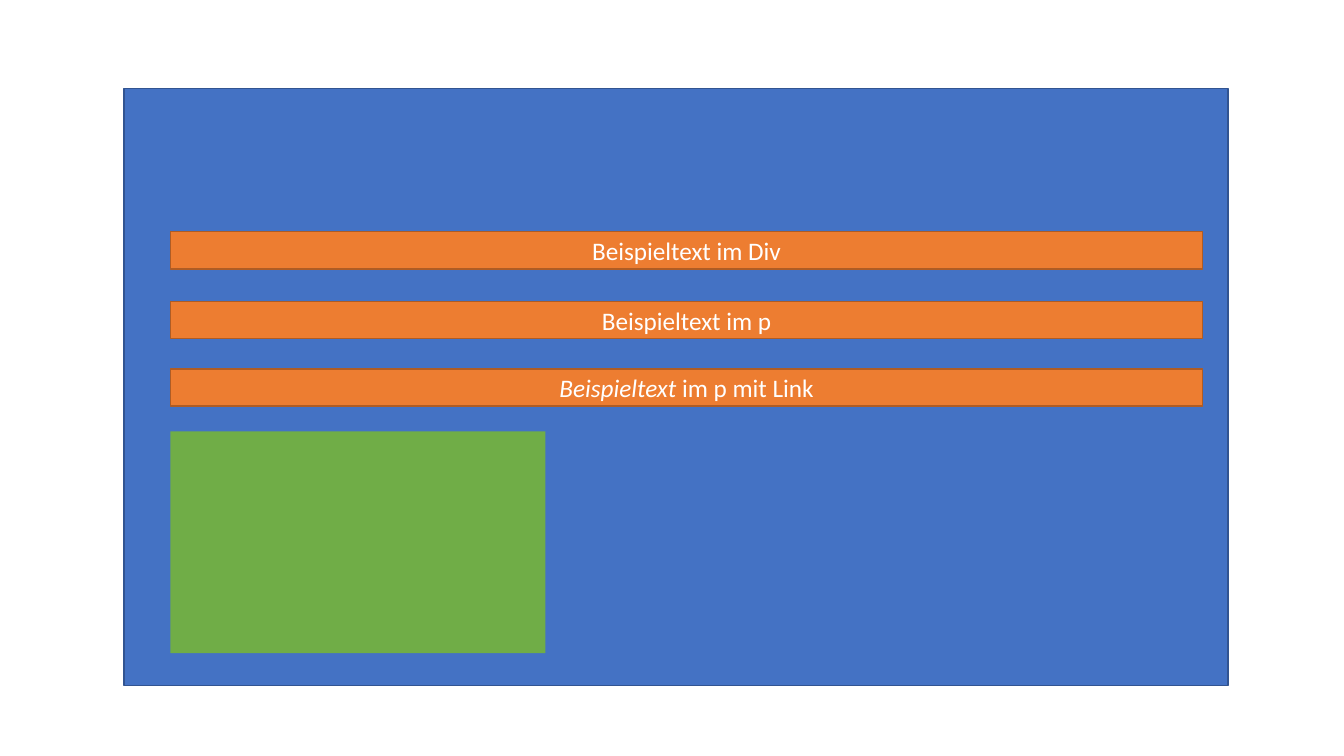
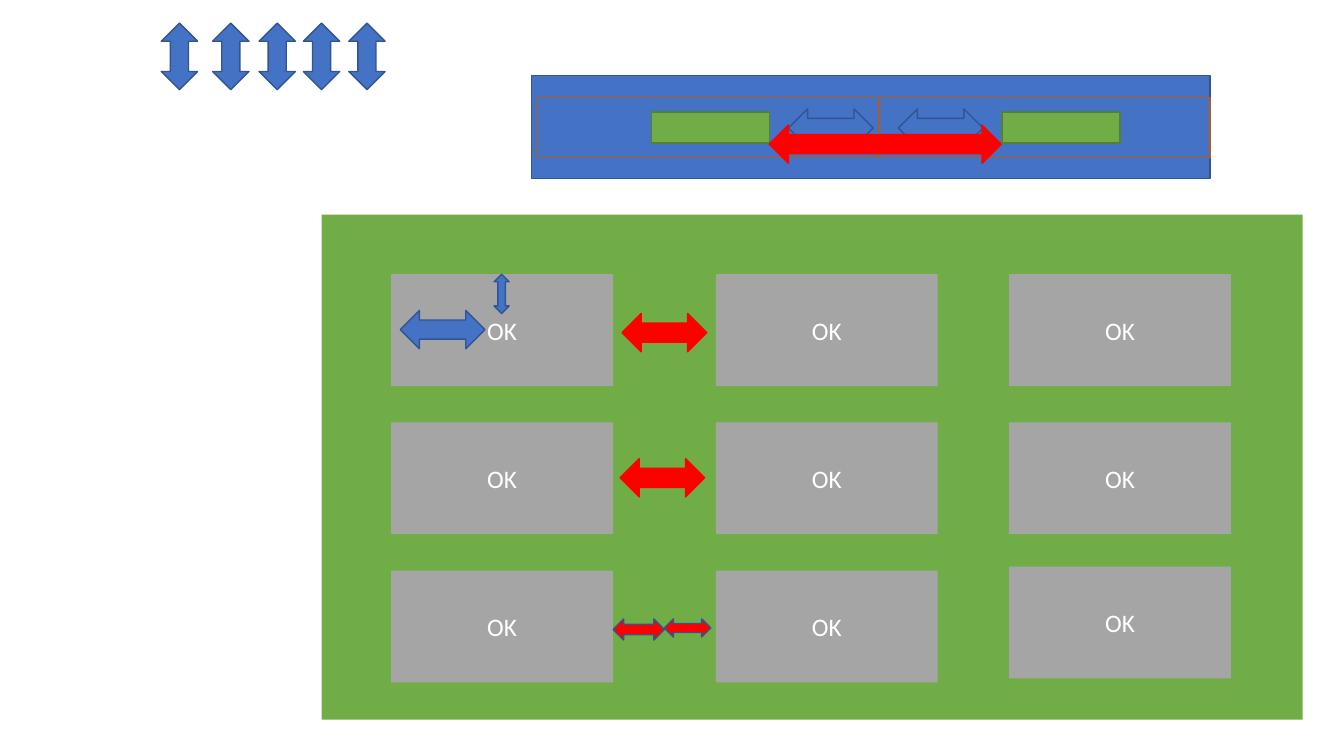
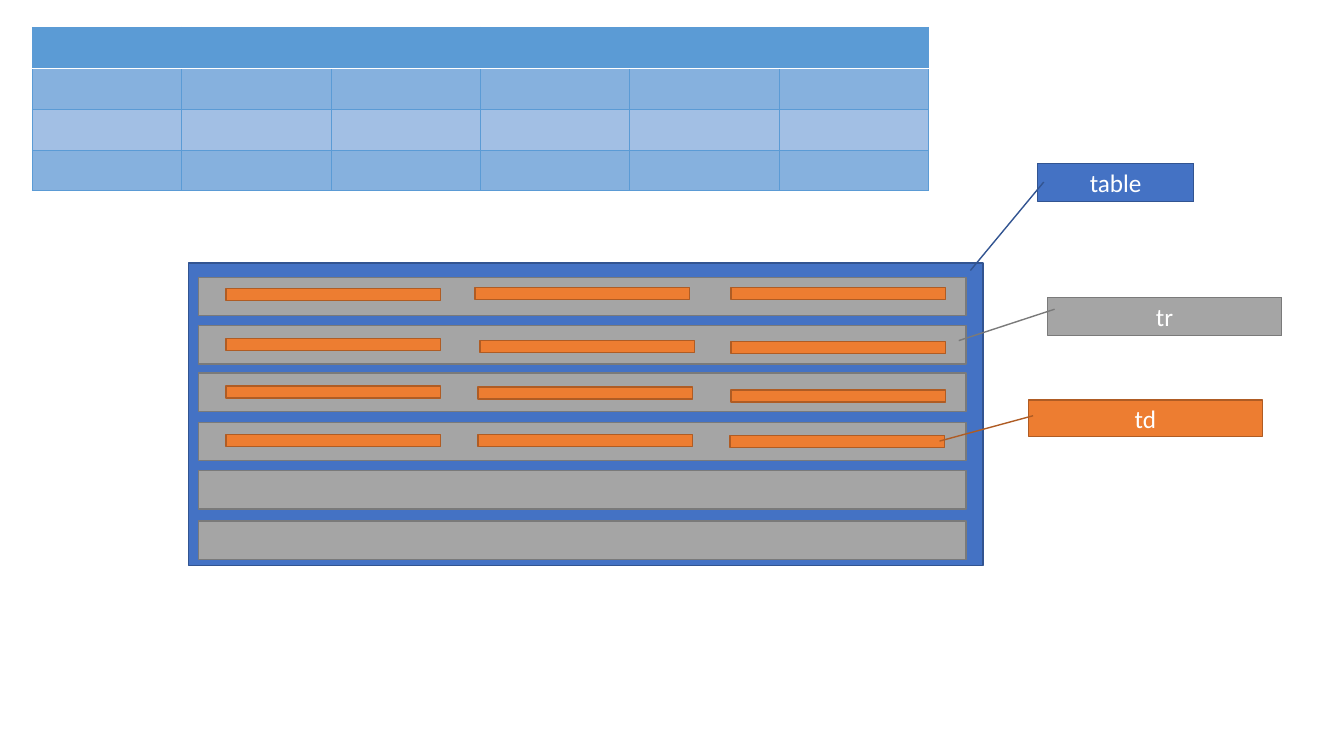
"""Build three slides that sketch page boxes, a button grid and a table layout."""
import lxml.etree
import pptx
import pptx.dml.color
import pptx.enum.shapes
import pptx.enum.text
import pptx.oxml.ns
import pptx.util

Inches = pptx.util.Inches
Pt = pptx.util.Pt
SHAPES = pptx.enum.shapes.MSO_SHAPE
HORIZONTAL, VERTICAL = SHAPES.LEFT_RIGHT_ARROW, SHAPES.UP_DOWN_ARROW
BLUE = ("4472C4", "325491")
ORANGE = ("ED7D31", "AF5C24")
GRAY = ("A5A5A5", "7A7A7A")
GREEN = ("70AD47", "538035")
RED = ("FF0000", "FF0000")
RED_BLUE = ("FF0000", "325491")
OUTLINE = (None, "AF5C24")
PLAIN_GREEN = ("70AD47", None)
PLAIN_GRAY = ("A5A5A5", None)
WHITE, TABLE_BLUE = "FFFFFF", "5B9BD5"
ROW_FILLS = (TABLE_BLUE, "86B1DE", "A2BFE4", "86B1DE")


def color(value):
    """Turn a hex string into a colour."""
    return pptx.dml.color.RGBColor.from_string(value)


def paint(fill, value):
    """Apply a solid fill, or no fill when the value is None."""
    if value is None:
        fill.background()
    else:
        fill.solid()
        fill.fore_color.rgb = color(value)


def write(shape, runs):
    """Put centred white runs, given as (text, italic), in a shape."""
    frame = shape.text_frame
    frame.word_wrap = True
    frame.vertical_anchor = pptx.enum.text.MSO_ANCHOR.MIDDLE
    paragraph = frame.paragraphs[0]
    paragraph.alignment = pptx.enum.text.PP_ALIGN.CENTER
    for text, italic in runs:
        run = paragraph.add_run()
        run.text = text
        run.font.color.rgb = color(WHITE)
        for name, value in {"name": "Calibri", "size": Pt(18), "italic": italic}.items():
            setattr(run.font, name, value)


def add_box(slide, place, colors, runs=(), kind=SHAPES.RECTANGLE):
    """Add a preset shape with a fill, a line and optional text."""
    shape = slide.shapes.add_shape(kind, *map(Inches, place))
    shape.shadow.inherit = False
    fill, line = colors
    paint(shape.fill, fill)
    paint(shape.line.fill, line)
    if line:
        shape.line.width = Pt(1)
    if runs:
        write(shape, runs)
    return shape


def add_callout(slide, place, colors, text, adjustments):
    """Add a labelled box with a leader line."""
    shape = add_box(slide, place, colors, [(text, False)], SHAPES.LINE_CALLOUT_1)
    for index, value in enumerate(adjustments):
        shape.adjustments[index] = value


def add_border(cell, side, value, width):
    """Draw one border of a table cell."""
    qualified = pptx.oxml.ns.qn
    properties = cell._tc.get_or_add_tcPr()
    line = lxml.etree.SubElement(properties, qualified(f"a:ln{side}"), w=str(Pt(width)))
    fill = lxml.etree.SubElement(line, qualified("a:solidFill"))
    lxml.etree.SubElement(fill, qualified("a:srgbClr"), val=value)


def add_banded_table(slide, place, column_count):
    """Add an empty banded table with a header row."""
    table = slide.shapes.add_table(len(ROW_FILLS), column_count, *map(Inches, place)).table
    table.horz_banding = False
    for row_index, row_fill in enumerate(ROW_FILLS):
        borders = dict.fromkeys("LRTB", (TABLE_BLUE, 0.5))
        if row_index < 2:
            borders["B" if row_index == 0 else "T"] = (WHITE, 1)
        for cell in table.rows[row_index].cells:
            for side, border in borders.items():
                add_border(cell, side, *border)
            paint(cell.fill, row_fill)


def build_text_slide(slide):
    """Show text boxes and a media box within a page."""
    add_box(slide, (1.23, 0.88, 10.95, 5.92), BLUE)
    lines = {
        2.3: [("Beispieltext im Div", False)],
        2.99: [("Beispieltext im p", False)],
        3.66: [("Beispieltext", True), (" im p mit Link", False)],
    }
    for top, runs in lines.items():
        add_box(slide, (1.69, top, 10.24, 0.37), ORANGE, runs)
    add_box(slide, (1.69, 4.28, 3.72, 2.2), PLAIN_GREEN)


def build_button_slide(slide):
    """Show a button grid and a navigation band with spacing arrows."""
    add_box(slide, (3.19, 2.13, 9.73, 5.01), PLAIN_GREEN)
    for left in (1.6, 2.11, 2.57, 3.01, 3.46):
        add_box(slide, (left, 0.23, 0.36, 0.66), BLUE, kind=VERTICAL)
    for left, last_top in ((3.88, 5.66), (7.1, 5.66), (10.01, 5.62)):
        for top in (2.72, 4.19, last_top):
            add_box(slide, (left, top, 2.2, 1.11), PLAIN_GRAY, [("OK", False)])
    add_box(slide, (4.9, 2.72, 0.15, 0.39), BLUE, kind=VERTICAL)
    add_box(slide, (5.27, 0.75, 6.73, 1.02), BLUE)
    for left, width in ((5.33, 3.39), (8.72, 3.28)):
        add_box(slide, (left, 0.97, width, 0.59), OUTLINE)
    for left in (6.46, 9.94):
        add_box(slide, (left, 1.11, 1.17, 0.31), GREEN)
    gap_arrows = (
        (6.08, 6.14, 0.51, 0.21, RED_BLUE),
        (6.59, 6.14, 0.46, 0.18, RED_BLUE),
        (6.17, 3.11, 0.84, 0.38, RED),
        (6.15, 4.55, 0.84, 0.38, RED),
        (3.97, 3.08, 0.84, 0.38, BLUE),
        (8.91, 1.08, 0.84, 0.38, BLUE),
        (7.82, 1.08, 0.84, 0.38, BLUE),
        (7.63, 1.24, 2.3, 0.38, RED),
    )
    for *place, colors in gap_arrows:
        add_box(slide, place, colors, kind=HORIZONTAL)


def build_table_slide(slide):
    """Show a table and the nesting of its elements."""
    add_banded_table(slide, (0.32, 0.27, 8.89, 1.62), 6)
    add_box(slide, (1.87, 2.61, 7.88, 3), BLUE)
    for top in (2.75, 3.23, 3.7, 4.19, 4.67, 5.17):
        add_box(slide, (1.97, top, 7.61, 0.38), GRAY)
    data_rows = (
        ((2.24, 2.86), (4.71, 2.85), (7.25, 2.85)),
        ((2.24, 3.36), (4.76, 3.38), (7.25, 3.39)),
        ((2.24, 3.83), (4.74, 3.84), (7.25, 3.87)),
        ((2.24, 4.31), (4.74, 4.31), (7.24, 4.32)),
    )
    for data_row in data_rows:
        for left, top in data_row:
            add_box(slide, (left, top, 2.13, 0.12), ORANGE)
    add_callout(slide, (10.29, 1.62, 1.55, 0.38), BLUE, "table", (0.49, 0.04, 2.8, -0.43))
    add_callout(slide, (10.39, 2.95, 2.32, 0.38), GRAY, "tr", (0.31, 0.03, 1.13, -0.38))
    add_callout(slide, (10.2, 3.97, 2.32, 0.36), ORANGE, "td", (0.43, 0.02, 1.13, -0.38))


def main():
    """Build and save the presentation."""
    presentation = pptx.Presentation()
    presentation.slide_width = Inches(13.33)
    presentation.slide_height = Inches(7.5)
    for build in (build_text_slide, build_button_slide, build_table_slide):
        build(presentation.slides.add_slide(presentation.slide_layouts[6]))
    presentation.save("out.pptx")


main()
